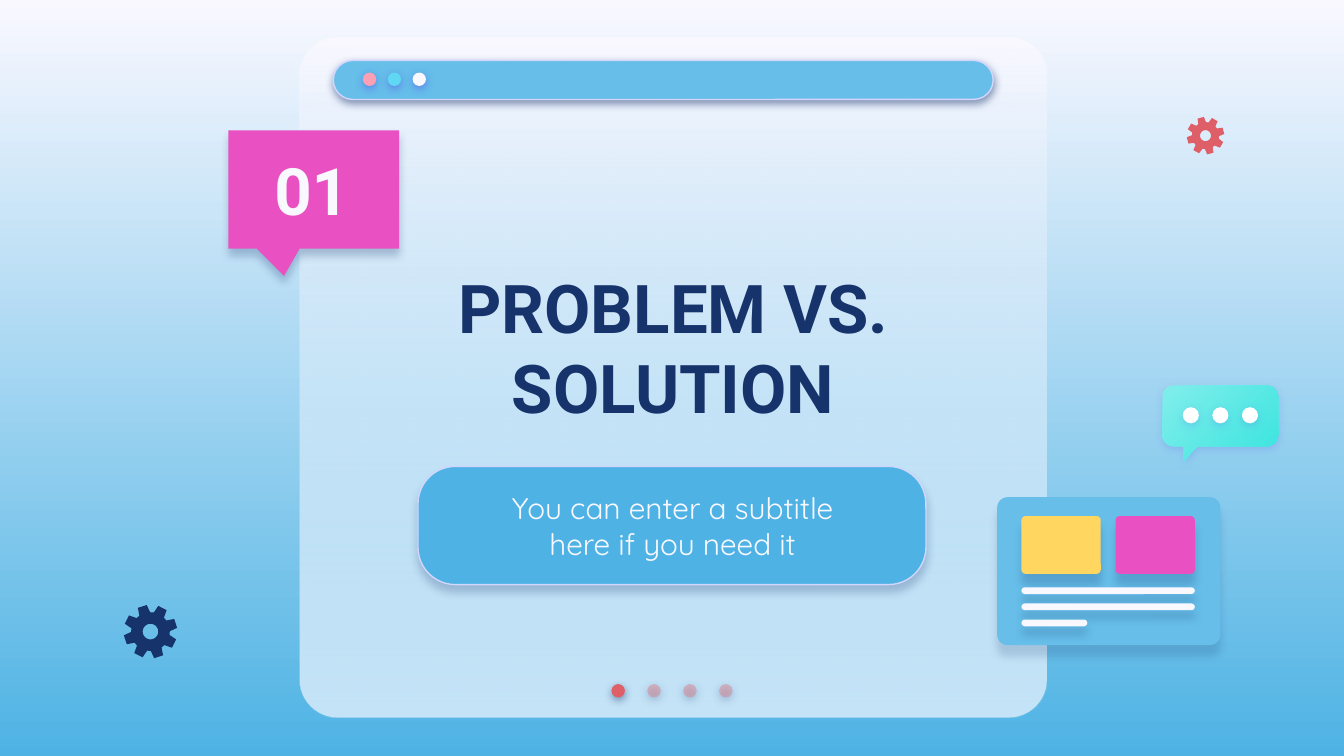
from math import cos, radians, sin

from lxml import etree
from pptx import Presentation
from pptx.dml.color import RGBColor
from pptx.enum.shapes import MSO_SHAPE as Shape
from pptx.enum.text import MSO_ANCHOR as Anchor, PP_ALIGN as Align
from pptx.oxml.ns import qn
from pptx.util import Inches, Pt

NAVY = RGBColor(0x17, 0x33, 0x6B)
INDIGO = RGBColor(0x53, 0x52, 0xEE)
WHITE = RGBColor(0xFF, 0xFF, 0xFF)
PALE = RGBColor(0xF9, 0xF8, 0xFF)
LAVENDER = RGBColor(0xD2, 0xD6, 0xFF)
BLUE = RGBColor(0x4E, 0xB3, 0xE4)
SKY = RGBColor(0x66, 0xBE, 0xE9)
CYAN = RGBColor(0x60, 0xD8, 0xF4)
MINT = RGBColor(0x81, 0xEE, 0xEB)
TEAL = RGBColor(0x3A, 0xE4, 0xDF)
PINK = RGBColor(0xFD, 0xA0, 0xB4)
MAGENTA = RGBColor(0xE9, 0x51, 0xC2)
YELLOW = RGBColor(0xFF, 0xD6, 0x5F)
RED = RGBColor(0xDF, 0x5F, 0x69)
ROSE = RGBColor(0xE2, 0x7B, 0x83)


def set_alpha(color_element, percent):
    etree.SubElement(color_element, qn("a:alpha")).set("val", str(percent * 1000))


def add_shadow(shape, color, percent, distance):
    """Soft shadow falling straight down."""
    shape.shadow.inherit = False
    effects = shape._element.spPr.find(qn("a:effectLst"))
    outer = etree.SubElement(effects, qn("a:outerShdw"), blurRad=str(Pt(4.5)),
                             dist=str(Pt(distance)), dir="5400000",
                             algn="bl", rotWithShape="0")
    tint = etree.SubElement(outer, qn("a:srgbClr"), val=str(color))
    set_alpha(tint, percent)


def set_gradient(fill, first, last, angle):
    fill.gradient()
    fill.gradient_angle = 360 - angle
    for stop, color, position in zip(fill.gradient_stops, (first, last), (0, 1)):
        stop.color.rgb = color
        stop.position = position


def paint(shape, color, shadow=None, line=None):
    shape.shadow.inherit = False
    if color is not None:
        shape.fill.solid()
        shape.fill.fore_color.rgb = color
    if line is None:
        shape.line.fill.background()
    else:
        shape.line.color.rgb = line
        shape.line.width = Pt(0.75)
    if shadow:
        add_shadow(shape, *shadow)
    return shape


def add_part(page, kind, left, top, width, height, color, shadow=None, line=None,
             adjust=()):
    shape = page.shapes.add_shape(kind, Inches(left), Inches(top),
                                  Inches(width), Inches(height))
    for index, value in enumerate(adjust):
        shape.adjustments[index] = value
    return paint(shape, color, shadow, line)


def add_dots(page, left, top, size, pitch, colors, shadow):
    return [add_part(page, Shape.OVAL, left + index * pitch, top, size, size,
                     color, shadow) for index, color in enumerate(colors)]


def add_text(page, left, top, width, height, text, size, font, color,
             bold=False, anchor=Anchor.MIDDLE):
    box = page.shapes.add_textbox(Inches(left), Inches(top),
                                  Inches(width), Inches(height))
    frame = box.text_frame
    frame.word_wrap = True
    frame.vertical_anchor = anchor
    frame.margin_left = frame.margin_right = Inches(0.1)
    frame.margin_top = frame.margin_bottom = Inches(0.1)
    frame.text = text
    para = frame.paragraphs[0]
    para.alignment = Align.CENTER
    span = para.runs[0].font
    span.size, span.name, span.bold = Pt(size), font, bold
    span.color.rgb = color
    return para


def arc(x, y, radius, start, end, steps=8):
    """Points along a circle; angles run clockwise from the right."""
    angles = [radians(start + (end - start) * i / steps) for i in range(steps + 1)]
    return [(x + radius * cos(a), y + radius * sin(a)) for a in angles]


def add_outline(page, *contours):
    """Freeform from closed contours, with points in inches."""
    builder = None
    for contour in contours:
        first, *rest = [(Inches(x), Inches(y)) for x, y in contour]
        if builder is None:
            builder = page.shapes.build_freeform(*first)
        else:
            builder.move_to(*first)
        builder.add_line_segments(rest, close=True)
    return builder.convert_to_shape()


def add_window(page, left, top, width, height):
    """Browser window with a title bar and page dots."""
    for _ in range(2):
        panel = add_part(page, Shape.ROUNDED_RECTANGLE, left, top, width, height,
                         PALE, adjust=[0.056])
    set_gradient(panel.fill, PALE, SKY, 90)
    stops = panel._element.spPr.findall(".//" + qn("a:srgbClr"))
    set_alpha(stops[-1], 35)

    pager = add_dots(page, left + 2.32, top + 4.81, 0.1, 0.267,
                     [RED, ROSE, ROSE, ROSE], (NAVY, 50, 1.5))
    for dot in pager[1:]:
        set_alpha(dot._element.spPr.find(".//" + qn("a:srgbClr")), 44)

    add_part(page, Shape.ROUNDED_RECTANGLE, left + 0.25, top + 0.17, 4.91, 0.29,
             SKY, (NAVY, 50, 1.5), LAVENDER, [0.5])
    add_dots(page, left + 0.47, top + 0.26, 0.1, 0.185, [PINK, CYAN, PALE],
             (INDIGO, 50, 1.5))


def add_number_tag(page, left, top, width, height):
    add_part(page, Shape.ROUNDED_RECTANGULAR_CALLOUT, left, top, width, height,
             MAGENTA, (NAVY, 25, 3.8), adjust=[-0.174, 0.731, 0])
    add_text(page, left + 0.09, top + 0.05, 1.06, 0.78, "01", 35, "Roboto", PALE,
             bold=True, anchor=Anchor.BOTTOM)


def add_headings(page, left, top):
    add_text(page, left, top, 4.6, 1.82, "PROBLEM VS. SOLUTION", 36, "Roboto",
             NAVY, bold=True)
    add_part(page, Shape.ROUNDED_RECTANGLE, left + 0.4, top + 1.8, 3.78, 0.88,
             BLUE, (NAVY, 24, 3.8), LAVENDER, [0.317])
    subtitle = add_text(page, left + 0.79, top + 1.85, 3.01, 0.78,
                        "You can enter a subtitle here if you need it",
                        16, "Quicksand", PALE)
    subtitle.space_after = Pt(12)


def add_card(page, left, top, width, height):
    """Small card with two tiles and three text lines."""
    rounded = Shape.ROUNDED_RECTANGLE
    add_part(page, rounded, left, top, width, height, SKY, (NAVY, 17, 6),
             adjust=[0.07])
    for offset, color in ((0.18, YELLOW), (0.88, MAGENTA)):
        add_part(page, rounded, left + offset, top + 0.14, 0.59, 0.43, color,
                 (NAVY, 20, 6), adjust=[0.07])
    for index, length in enumerate((1.29, 1.29, 0.49)):
        add_part(page, rounded, left + 0.18, top + 0.67 + index * 0.12, length,
                 0.05, PALE, (NAVY, 21, 4.5), adjust=[0.5])


def add_chat_bubble(page, left, top, width, height):
    """Rounded bubble with a tail at the lower left and three dots."""
    radius, right, bottom = 0.08, left + width, top + height
    near, far = left + radius, right - radius
    high, low = top + radius, bottom - radius
    outline = (arc(near, high, radius, 180, 270) + arc(far, high, radius, 270, 360)
               + arc(far, low, radius, 0, 90)
               + [(left + 0.26, bottom), (left + 0.16, bottom + 0.11),
                  (left + 0.16, bottom)]
               + arc(near, low, radius, 90, 180))
    bubble = paint(add_outline(page, outline), None, (INDIGO, 18, 1.5))
    set_gradient(bubble.fill, MINT, TEAL, 45)
    add_dots(page, left + 0.15, top + 0.16, 0.12, 0.22, [WHITE] * 3,
             (INDIGO, 18, 1.5))


def add_gear(page, x, y, radius, turn, color):
    """Eight-toothed gear with a round hole, centred on x, y."""
    teeth = []
    for index in range(8):
        middle = turn + index * 45
        for offset, reach in ((-17, 0.72), (-10, 1), (10, 1), (17, 0.72)):
            angle = radians(middle + offset)
            teeth.append((x + radius * reach * cos(angle),
                          y + radius * reach * sin(angle)))
    hole = arc(x, y, radius * 0.29, 360, 0, steps=32)
    paint(add_outline(page, teeth, hole), color)


def main():
    deck = Presentation()
    deck.slide_width, deck.slide_height = Inches(10), Inches(5.625)
    page = deck.slides.add_slide(deck.slide_layouts[6])
    set_gradient(page.background.fill, PALE, BLUE, 90)

    add_window(page, 2.23, 0.28, 5.56, 5.06)
    add_number_tag(page, 1.7, 0.97, 1.27, 0.88)
    add_headings(page, 2.71, 1.67)
    add_card(page, 7.42, 3.7, 1.66, 1.1)
    add_chat_bubble(page, 8.65, 2.87, 0.86, 0.45)
    add_gear(page, 1.12, 4.7, 0.2, -18, NAVY)
    add_gear(page, 8.97, 1.01, 0.14, -15, RED)
    deck.save("out.pptx")


if __name__ == "__main__":
    main()
